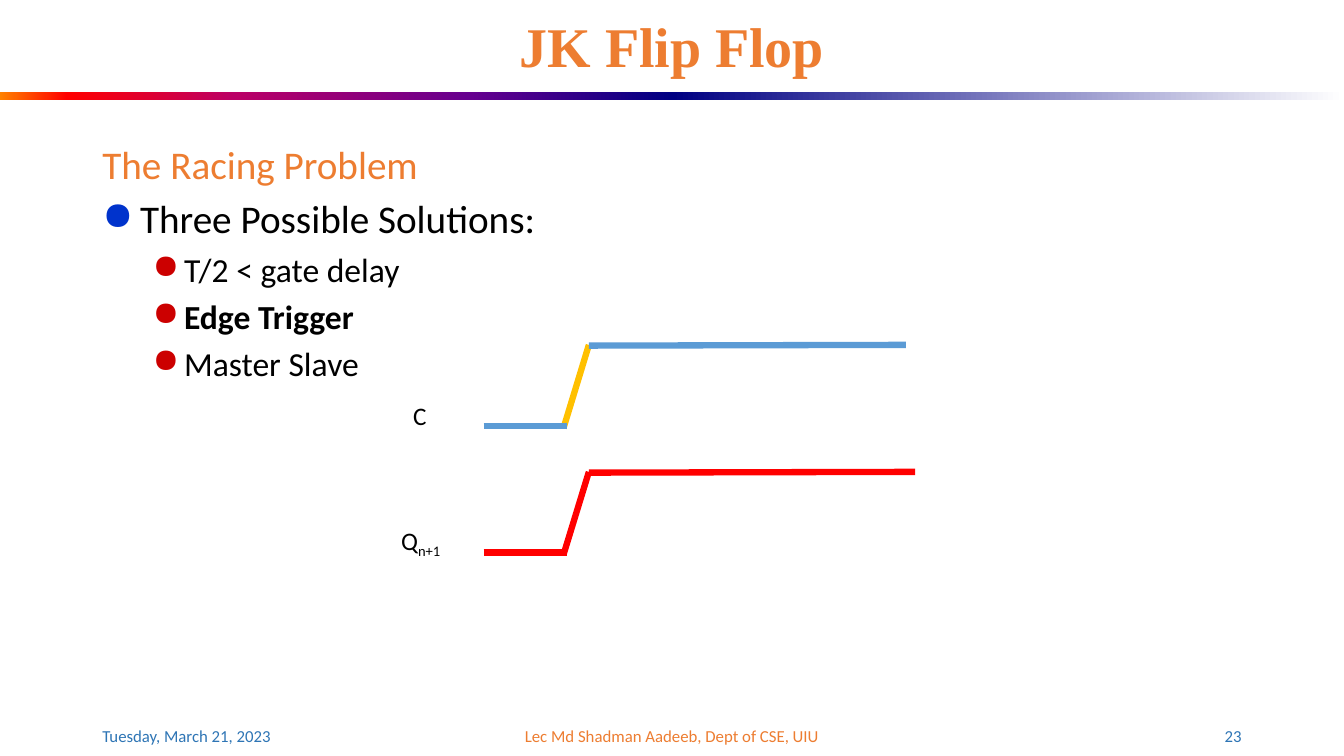
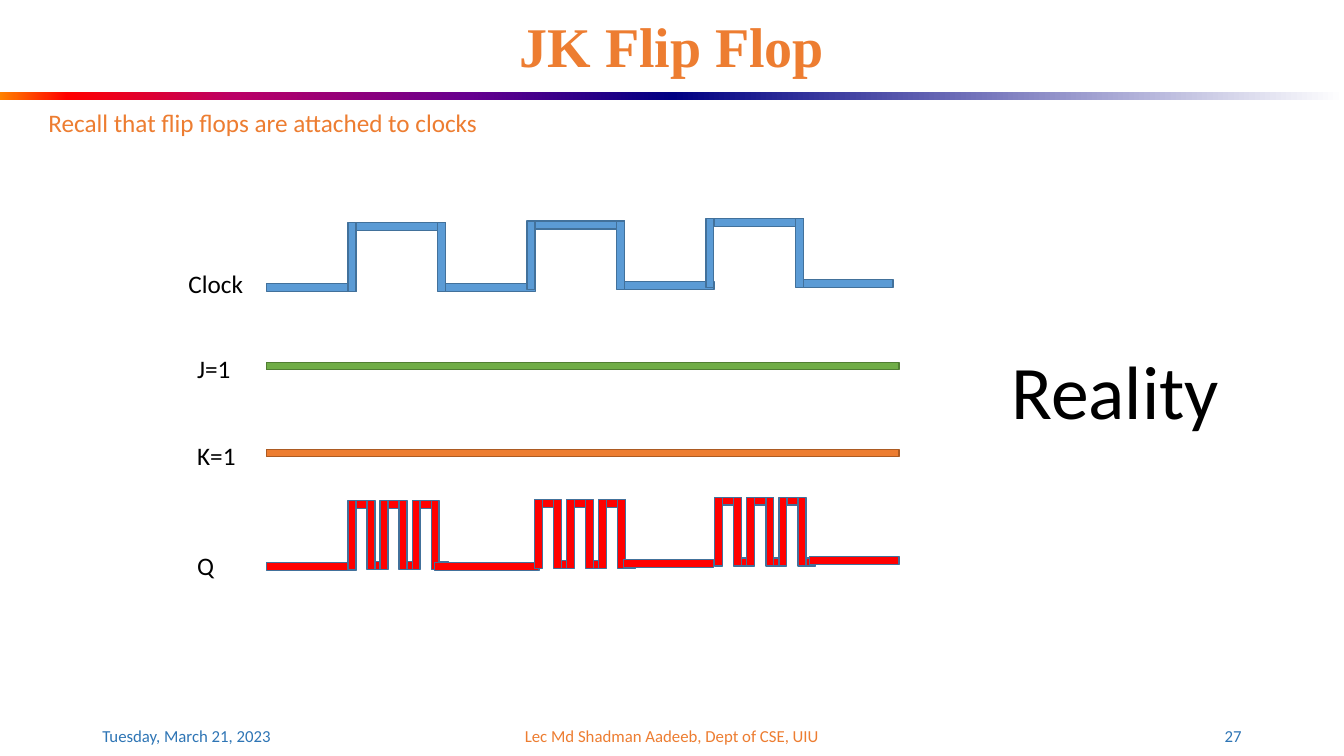
"""Build two slides about the racing problem of the JK flip flop."""

from typing import NamedTuple, Optional

from lxml.etree import SubElement
from pptx import Presentation
from pptx.dml.color import RGBColor
from pptx.enum.shapes import MSO_CONNECTOR, MSO_SHAPE
from pptx.enum.text import MSO_ANCHOR, PP_ALIGN
from pptx.oxml.ns import qn
from pptx.slide import Slide
from pptx.text.text import _Paragraph as Paragraph
from pptx.util import Cm, Pt

BLACK = RGBColor(0x00, 0x00, 0x00)
WHITE = RGBColor(0xFF, 0xFF, 0xFF)
NAVY = RGBColor(0x00, 0x00, 0x82)
ORANGE = RGBColor(0xED, 0x7D, 0x31)
DARK_ORANGE = RGBColor(0xAC, 0x5B, 0x23)
FOOTER_BLUE = RGBColor(0x2E, 0x75, 0xB5)
BLUE = RGBColor(0x5B, 0x9B, 0xD5)
DARK_BLUE = RGBColor(0x42, 0x71, 0x9B)
GREEN = RGBColor(0x70, 0xAD, 0x47)
DARK_GREEN = RGBColor(0x51, 0x7E, 0x33)
YELLOW = RGBColor(0xFF, 0xC0, 0x00)
RED = RGBColor(0xFF, 0x00, 0x00)
BULLET_BLUE = RGBColor(0x00, 0x33, 0xCC)
BULLET_RED = RGBColor(0xCC, 0x00, 0x00)

SLIDE_WIDTH, SLIDE_HEIGHT = 33.87, 19.05
BODY_FONT, TITLE_FONT = "Calibri", "Times New Roman"
BAND_STOPS = (
    (
        (0, RGBColor(0xFF, 0x82, 0x00)),
        (10, RED),
        (35, RGBColor(0xBA, 0x00, 0x66)),
        (70, RGBColor(0x66, 0x00, 0x8F)),
        (100, NAVY),
    ),
    ((0, NAVY), (100, WHITE)),
)

THICKNESS = 0.2
EDGE_HEIGHT = 1.73
LOW_OFFSET = 1.53
SIGNAL_LEFT = 6.71
HALF_PERIOD = 2.26
PERIOD = 4.51
CLOCK_TOP = 5.61
CLOCK_DRIFTS = (0, 0.04, 0.1)
OUTPUT_TOP = 12.62
PULSE_STEP = 0.81
PULSES_PER_BURST = 3


class Label(NamedTuple):
    text: str
    left: float
    top: float
    width: float
    height: float = 1.02
    size: float = 18
    color: RGBColor = BLACK
    align: PP_ALIGN = PP_ALIGN.LEFT
    anchor: MSO_ANCHOR = MSO_ANCHOR.TOP
    font: str = BODY_FONT
    bold: bool = False
    subscript: str = ""


class Bullet(NamedTuple):
    color: RGBColor
    level: int
    margin: float
    hanging: float
    space: float


class BodyLine(NamedTuple):
    text: str
    size: float
    color: RGBColor = BLACK
    bullet: Optional[Bullet] = None
    bold: bool = False


class Trace(NamedTuple):
    low: float
    high: float
    end: float
    color: RGBColor
    edge_color: RGBColor


class Burst(NamedTuple):
    idle_left: float
    idle_top: float
    idle_width: float
    left: float
    drift: float


MAIN_BULLET = Bullet(BULLET_BLUE, 0, 0.95, 0.95, 5.6)
SUB_BULLET = Bullet(BULLET_RED, 1, 2.06, 0.79, 4.8)
BODY_LINES = (
    BodyLine("The Racing Problem", 28, ORANGE),
    BodyLine("Three Possible Solutions:", 28, bullet=MAIN_BULLET),
    BodyLine("T/2 < gate delay", 24, bullet=SUB_BULLET),
    BodyLine("Edge Trigger", 24, bullet=SUB_BULLET, bold=True),
    BodyLine("Master Slave", 24, bullet=SUB_BULLET),
)
TRACES = (
    Trace(10.73, 8.69, 22.83, BLUE, YELLOW),
    Trace(13.92, 11.89, 23.06, RED, RED),
)
TRACE_LABELS = (
    Label("C", 10.16, 9.96, 0.9),
    Label("Q", 9.86, 13.11, 1.8, subscript="n+1"),
)
SIGNAL_LABELS = (
    Label("Recall that flip flops are attached to clocks", 0.97, 2.57, 11.6, color=ORANGE),
    Label("Clock", 4.5, 6.63, 2),
    Label("J=1", 4.72, 8.79, 1.5),
    Label("K=1", 4.72, 10.97, 1.6),
    Label("Q", 4.72, 13.74, 1),
    Label("Reality", 25.2, 8.53, 5.82, 2.57, size=54, align=PP_ALIGN.CENTER),
)
BURSTS = (
    Burst(6.71, 14.17, 2.26, 8.97, 0),
    Burst(10.95, 14.17, 2.64, 13.67, 0.03),
    Burst(15.72, 14.1, 2.26, 18.21, 0.09),
)


def style_runs(paragraph: Paragraph, size: float, color: RGBColor, font: str, bold: bool) -> None:
    """Give every run of a paragraph the same look."""
    for run in paragraph.runs:
        run.font.size = Pt(size)
        run.font.color.rgb = color
        run.font.name = font
        run.font.bold = bold


def add_label(slide: Slide, label: Label) -> Paragraph:
    """Add one line of text and return its paragraph."""
    box = slide.shapes.add_textbox(Cm(label.left), Cm(label.top), Cm(label.width), Cm(label.height))
    text_frame = box.text_frame
    text_frame.word_wrap = True
    text_frame.vertical_anchor = label.anchor
    text_frame.text = label.text
    paragraph = text_frame.paragraphs[0]
    paragraph.alignment = label.align
    if label.subscript:
        run = paragraph.add_run()
        run.text = label.subscript
        run._r.get_or_add_rPr().set("baseline", "-25000")
    style_runs(paragraph, label.size, label.color, label.font, label.bold)
    return paragraph


def add_band(slide: Slide) -> None:
    """Draw the two gradient halves under the title."""
    width = SLIDE_WIDTH / 2
    for index, stops in enumerate(BAND_STOPS):
        shape = slide.shapes.add_shape(
            MSO_SHAPE.RECTANGLE, Cm(index * width), Cm(2.33), Cm(width), Cm(THICKNESS)
        )
        shape.shadow.inherit = False
        shape.line.fill.background()
        shape.fill.gradient()
        shape.fill.gradient_angle = 0
        stop_list = shape._element.spPr.find(qn("a:gradFill")).find(qn("a:gsLst"))
        for old_stop in list(stop_list):
            stop_list.remove(old_stop)
        for position, color in stops:
            stop = SubElement(stop_list, qn("a:gs"), pos=str(position * 1000))
            SubElement(stop, qn("a:srgbClr"), val=str(color))


def add_base_slide(presentation: Presentation, number: int) -> Slide:
    """Add a blank slide with the shared band, title and footers."""
    slide = presentation.slides.add_slide(presentation.slide_layouts[6])
    add_band(slide)
    footers = (
        ("Tuesday, March 21, 2023", 2.33, 7.62, FOOTER_BLUE, PP_ALIGN.LEFT),
        ("Lec Md Shadman Aadeeb, Dept of CSE, UIU", 11.22, 11.43, ORANGE, PP_ALIGN.CENTER),
        (str(number), 23.92, 7.62, FOOTER_BLUE, PP_ALIGN.RIGHT),
    )
    for text, left, width, color, align in footers:
        add_label(slide, Label(text, left, 18.03, width, 1.01, 12, color, align, MSO_ANCHOR.MIDDLE))
    title = Label(
        "JK Flip Flop", 2.33, 0.41, 29.21, 1.68, 40, ORANGE,
        PP_ALIGN.CENTER, MSO_ANCHOR.MIDDLE, TITLE_FONT, True,
    )
    add_label(slide, title).line_spacing = 0.9
    return slide


def add_bullet(paragraph: Paragraph, bullet: Bullet) -> None:
    """Give a paragraph a coloured bullet and a hanging indent."""
    paragraph.level = bullet.level
    properties = paragraph._p.get_or_add_pPr()
    properties.set("marL", str(Cm(bullet.margin)))
    properties.set("indent", str(-Cm(bullet.hanging)))
    bullet_color = SubElement(properties, qn("a:buClr"))
    SubElement(bullet_color, qn("a:srgbClr"), val=str(bullet.color))
    SubElement(properties, qn("a:buChar"), char="●")
    paragraph.space_before = Pt(bullet.space)


def add_body(slide: Slide) -> None:
    """Add the list of solutions."""
    box = slide.shapes.add_textbox(Cm(2.33), Cm(3.4), Cm(29.21), Cm(13.74))
    text_frame = box.text_frame
    text_frame.word_wrap = True
    for index, line in enumerate(BODY_LINES):
        paragraph = text_frame.add_paragraph() if index else text_frame.paragraphs[0]
        paragraph.text = line.text
        if line.bullet:
            add_bullet(paragraph, line.bullet)
        style_runs(paragraph, line.size, line.color, BODY_FONT, line.bold)


def add_line(
    slide: Slide, start: tuple[float, float], end: tuple[float, float], color: RGBColor
) -> None:
    """Draw one thick straight line."""
    connector = slide.shapes.add_connector(
        MSO_CONNECTOR.STRAIGHT, Cm(start[0]), Cm(start[1]), Cm(end[0]), Cm(end[1])
    )
    connector.line.color.rgb = color
    connector.line.width = Pt(4.5)
    SubElement(connector._element.spPr, qn("a:effectLst"))


def add_trace(slide: Slide, trace: Trace) -> None:
    """Draw a rising edge between a low and a high level."""
    add_line(slide, (14.2, trace.low + 0.06), (14.84, trace.high), trace.edge_color)
    add_line(slide, (14.84, trace.high + 0.02), (trace.end, trace.high), trace.color)
    add_line(slide, (12.19, trace.low), (14.3, trace.low), trace.color)


def add_bar(
    slide: Slide, left: float, top: float, width: float, height: float = THICKNESS,
    fill: RGBColor = RED, outline: RGBColor = DARK_BLUE,
) -> None:
    """Draw one outlined bar of a signal."""
    shape = slide.shapes.add_shape(MSO_SHAPE.RECTANGLE, Cm(left), Cm(top), Cm(width), Cm(height))
    shape.shadow.inherit = False
    shape.fill.solid()
    shape.fill.fore_color.rgb = fill
    shape.line.color.rgb = outline
    shape.line.width = Pt(1)


def add_clock(slide: Slide) -> None:
    """Draw the clock signal, cycle by cycle."""
    add_bar(slide, SIGNAL_LEFT, CLOCK_TOP + LOW_OFFSET, HALF_PERIOD, fill=BLUE)
    for cycle, drift in enumerate(CLOCK_DRIFTS):
        left = SIGNAL_LEFT + HALF_PERIOD + cycle * PERIOD
        top = CLOCK_TOP - drift
        add_bar(slide, left, top, HALF_PERIOD, fill=BLUE)
        add_bar(slide, left + HALF_PERIOD, top + LOW_OFFSET, HALF_PERIOD, fill=BLUE)
        for edge_left in (left - THICKNESS, left + HALF_PERIOD - THICKNESS):
            add_bar(slide, edge_left, top, THICKNESS, EDGE_HEIGHT, BLUE)


def add_output(slide: Slide) -> None:
    """Draw the output that toggles in bursts while the clock is high."""
    for burst in BURSTS:
        add_bar(slide, burst.idle_left, burst.idle_top, burst.idle_width)
        top = OUTPUT_TOP - burst.drift
        for pulse in range(PULSES_PER_BURST):
            left = burst.left + pulse * PULSE_STEP
            add_bar(slide, left, top, 0.46)
            add_bar(slide, left + 0.36, top + LOW_OFFSET, 0.36)
            for edge_left in (left - THICKNESS, left + 0.28):
                add_bar(slide, edge_left, top, THICKNESS, EDGE_HEIGHT)
    add_bar(slide, 20.4, 14.02, HALF_PERIOD)


def main() -> None:
    """Build and save the presentation."""
    presentation = Presentation()
    presentation.slide_width = Cm(SLIDE_WIDTH)
    presentation.slide_height = Cm(SLIDE_HEIGHT)

    solutions = add_base_slide(presentation, 23)
    add_body(solutions)
    for trace in TRACES:
        add_trace(solutions, trace)
    for label in TRACE_LABELS:
        add_label(solutions, label)

    reality = add_base_slide(presentation, 27)
    add_clock(reality)
    add_bar(reality, SIGNAL_LEFT, 9.14, 15.95, 0.18, GREEN, DARK_GREEN)
    add_bar(reality, SIGNAL_LEFT, 11.33, 15.95, 0.18, ORANGE, DARK_ORANGE)
    add_output(reality)
    for label in SIGNAL_LABELS:
        add_label(reality, label)

    presentation.save("out.pptx")


if __name__ == "__main__":
    main()
